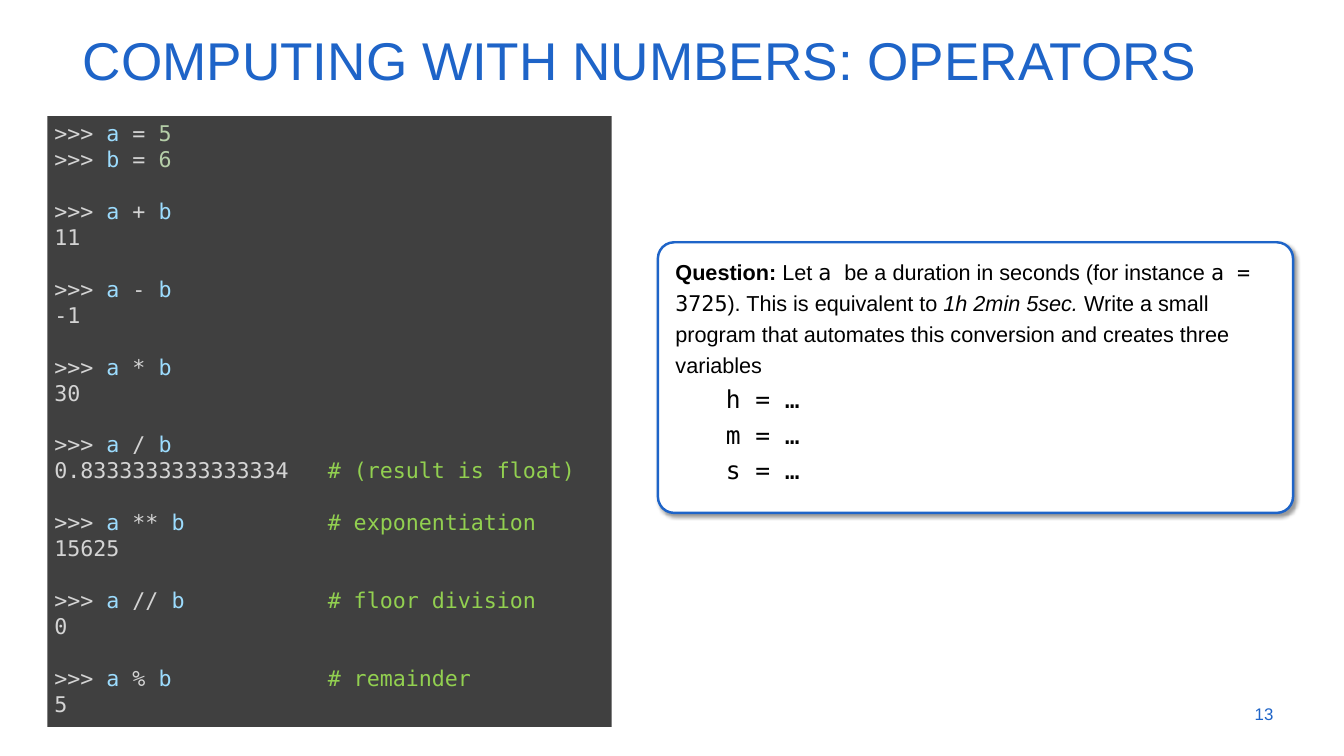
from itertools import groupby

from lxml import etree
from pptx import Presentation
from pptx import util as u
from pptx.dml.color import RGBColor
from pptx.enum import shapes, text
from pptx.oxml import ns

COLOURS = {
    "blue": "1E64C8",
    "white": "FFFFFF",
    "black": "000000",
    "panel": "404040",
    "plain": "D4D4D4",
    "variable": "9CDCFE",
    "number": "B5CEA8",
    "comment": "92D050",
}
SANS, MONO = "Arial", "DejaVu Sans Mono"
WIDTH, HEIGHT = u.Inches(18.96), u.Inches(10.67)
COLUMNS = ROWS = 100
CODE_SIZE, CODE_GAP = 22, 26.4

CODE_BLOCKS = [
    [">>> a = 5", ">>> b = 6"],
    [">>> a + b", "11"],
    [">>> a - b", "-1"],
    [">>> a * b", "30"],
    [">>> a / b", "0.8333333333333334   # (result is float)"],
    [">>> a ** b           # exponentiation", "15625"],
    [">>> a // b           # floor division", "0"],
    [">>> a % b            # remainder", "5"],
]
QUESTION = [
    ("Question: ", {"bold": True}),
    ("Let ", {}),
    ("a ", {"font": MONO}),
    ("be a duration in seconds (for instance ", {}),
    ("a = 3725", {"font": MONO}),
    ("). This is equivalent to ", {}),
    ("1h 2min 5sec.", {"italic": True}),
    (" Write a small program that automates this conversion "
     "and creates three variables", {}),
]
ANSWERS = ["h = …", "m = …", "s = …"]


def rgb(colour):
    return RGBColor.from_string(COLOURS[colour])


def grid(left, top, width, height):
    column, row = WIDTH / COLUMNS, HEIGHT / ROWS
    return [u.Emu(round(n)) for n in
            (left * column, top * row, width * column, height * row)]


def write(paragraph, words, font=SANS, size=22, colour="black",
          bold=False, italic=False):
    run = paragraph.add_run()
    run.text = words
    run.font.name = font
    run.font.size = u.Pt(size)
    run.font.color.rgb = rgb(colour)
    run.font.bold = bold
    run.font.italic = italic


def next_paragraph(frame):
    first = frame.paragraphs[0]
    return frame.add_paragraph() if first.runs else first


def text_area(parent, place, anchor=text.MSO_ANCHOR.TOP):
    frame = parent.shapes.add_textbox(*grid(*place)).text_frame
    frame.word_wrap = True
    frame.vertical_anchor = anchor
    return frame


def panel(parent, kind, place, fill, outline=None):
    area = parent.shapes.add_shape(kind, *grid(*place))
    area.shadow.inherit = False
    area.fill.solid()
    area.fill.fore_color.rgb = rgb(fill)
    if outline:
        area.line.color.rgb = rgb(outline)
        area.line.width = u.Pt(2.5)
    else:
        area.line.fill.background()
    return area


def cast_shadow(area):
    effects = area.element.spPr.find(ns.qn("a:effectLst"))
    shadow = etree.SubElement(
        effects, ns.qn("a:outerShdw"), blurRad=str(u.Pt(4)), dist=str(u.Pt(3)),
        dir=str(45 * 60000), algn="tl", rotWithShape="0")
    tint = etree.SubElement(shadow, ns.qn("a:srgbClr"), val=COLOURS["black"])
    etree.SubElement(tint, ns.qn("a:alpha"), val="40000")


def token_kind(letter):
    if letter.isalpha():
        return "variable"
    return "number" if letter.isdigit() else "plain"


def code_line(paragraph, line):
    code, mark, note = line.partition("#")
    if code.startswith(">>>"):
        tokens = [(kind, "".join(letters))
                  for kind, letters in groupby(code, token_kind)]
    else:
        tokens = [("plain", code)]
    if mark:
        tokens.append(("comment", mark + note))
    for kind, token in tokens:
        write(paragraph, token, font=MONO, size=CODE_SIZE, colour=kind)


def title(slide):
    paragraph = text_area(slide, (5.64, 4.12, 90.61, 8.81)).paragraphs[0]
    paragraph.line_spacing = 0.9
    write(paragraph, "COMPUTING WITH NUMBERS: OPERATORS", size=54, colour="blue")


def page_number(slide):
    place = (89.93, 91.75, 5.33, 5.34)
    paragraph = text_area(slide, place, text.MSO_ANCHOR.MIDDLE).paragraphs[0]
    paragraph.alignment = text.PP_ALIGN.RIGHT
    write(paragraph, "13", size=17.1, colour="blue")


def code_listing(slide):
    listing = panel(slide, shapes.MSO_SHAPE.RECTANGLE,
                    (3.53, 15.37, 41.98, 80.79), "panel")
    frame = listing.text_frame
    frame.word_wrap = True
    frame.vertical_anchor = text.MSO_ANCHOR.TOP
    for block_index, block in enumerate(CODE_BLOCKS):
        for line_index, line in enumerate(block):
            paragraph = next_paragraph(frame)
            paragraph.alignment = text.PP_ALIGN.LEFT
            if block_index and not line_index:
                paragraph.space_before = u.Pt(CODE_GAP)
            code_line(paragraph, line)


def question_card(slide):
    group = slide.shapes.add_group_shape()
    card = panel(group, shapes.MSO_SHAPE.ROUNDED_RECTANGLE,
                 (48.95, 32.05, 47.26, 35.8), "white", outline="blue")
    card.adjustments[0] = 0.06
    cast_shadow(card)
    frame = text_area(group, (49.74, 33.08, 46.52, 31.49))
    question = next_paragraph(frame)
    question.line_spacing = 1.2
    for words, style in QUESTION:
        write(question, words, **style)
    for answer in ANSWERS:
        paragraph = next_paragraph(frame)
        paragraph.level = 1
        paragraph.line_spacing = 1.2
        properties = paragraph._p.get_or_add_pPr()
        properties.set("marL", str(u.Inches(0.71)))
        properties.set("indent", "0")
        write(paragraph, answer, font=MONO, size=25)


def main():
    deck = Presentation()
    deck.slide_width, deck.slide_height = WIDTH, HEIGHT
    slide = deck.slides.add_slide(deck.slide_layouts[6])
    page_number(slide)
    title(slide)
    code_listing(slide)
    question_card(slide)
    deck.save("out.pptx")


if __name__ == "__main__":
    main()
